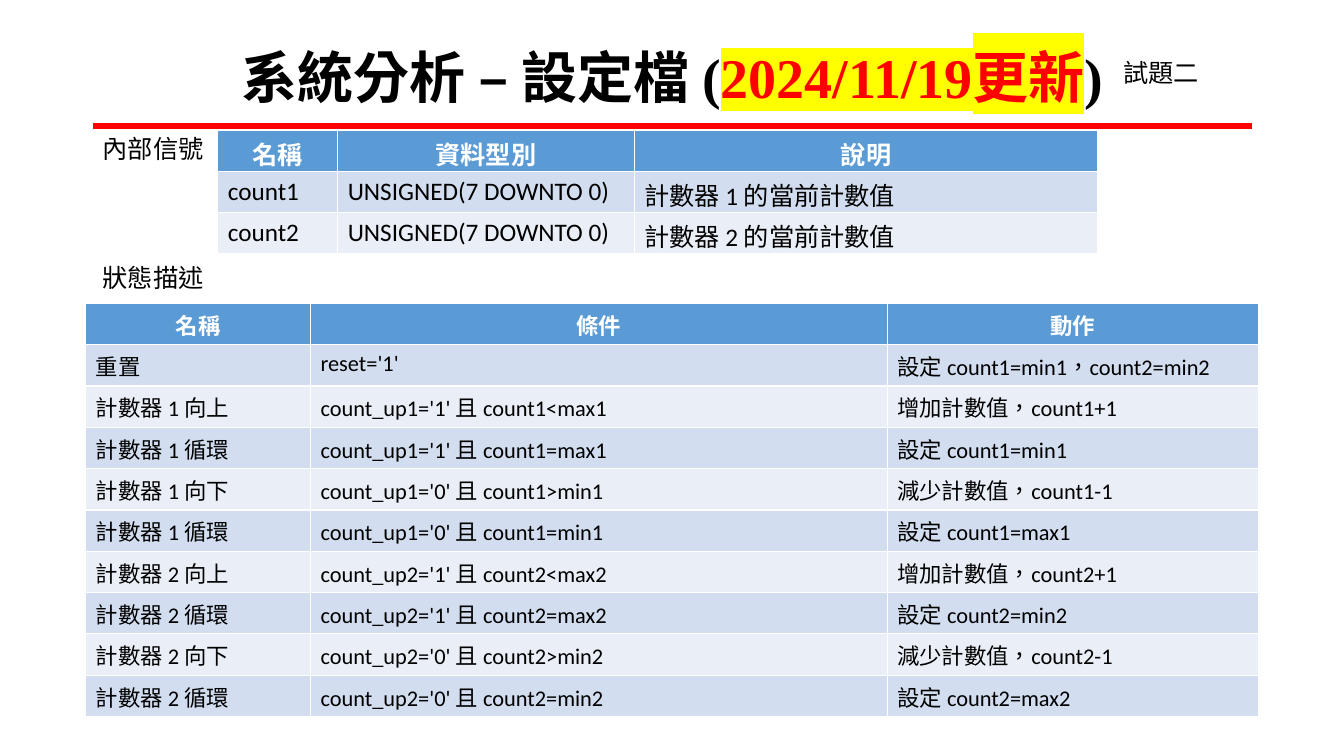
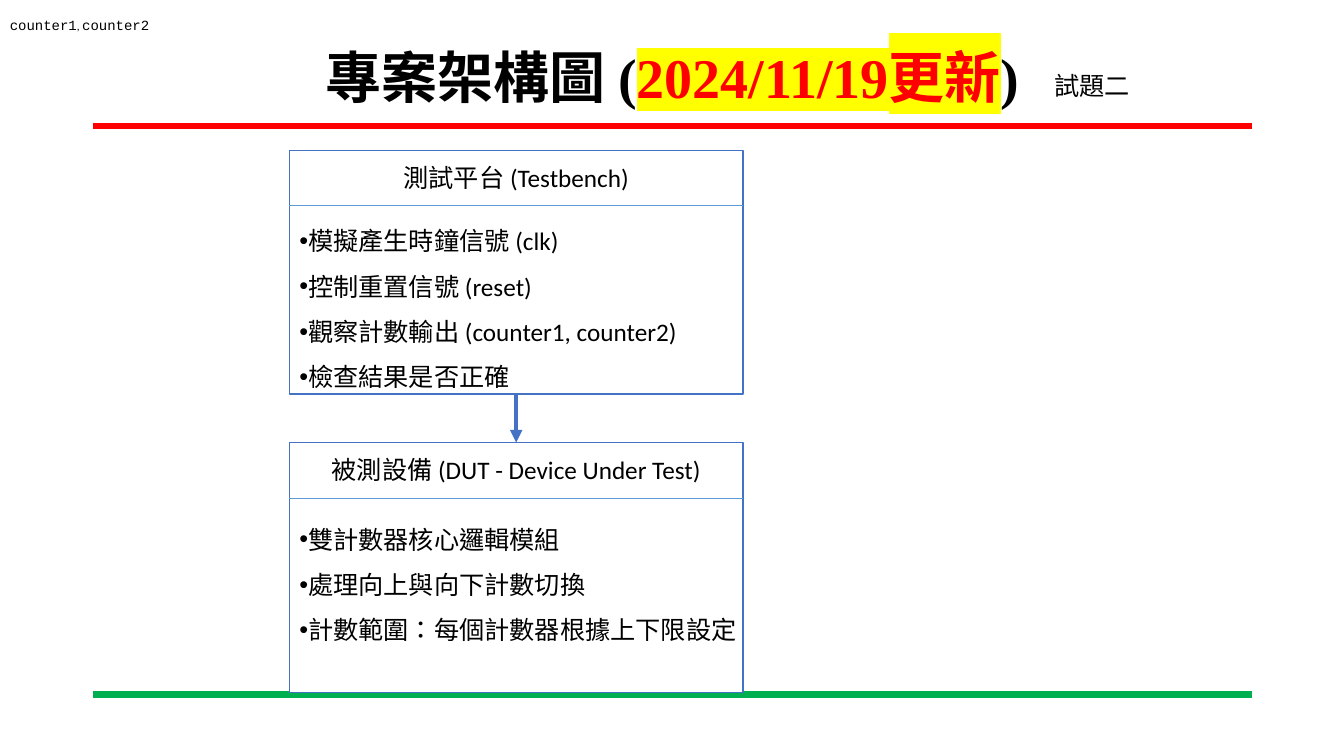
from lxml.etree import SubElement
from pptx import Presentation
from pptx.dml.color import RGBColor
from pptx.enum.shapes import MSO_CONNECTOR, MSO_SHAPE
from pptx.enum.text import MSO_ANCHOR, PP_ALIGN
from pptx.oxml.ns import qn
from pptx.util import Pt

PX = 9144
BLACK = RGBColor(0x00, 0x00, 0x00)
WHITE = RGBColor(0xFF, 0xFF, 0xFF)
RED = RGBColor(0xFF, 0x00, 0x00)
GREEN = RGBColor(0x00, 0xB0, 0x50)
YELLOW = RGBColor(0xFF, 0xFF, 0x00)
HEADER = RGBColor(0x5B, 0x9B, 0xD5)
BANDS = (RGBColor(0xD2, 0xDE, 0xEF), RGBColor(0xEA, 0xEF, 0xF7))
OUTLINE = RGBColor(0x44, 0x72, 0xC4)
BODY_FONT = "Calibri"
TITLE_FONT = "Times New Roman"
CODE_FONT = "Courier New"
LEFT, RIGHT = 92, 1242
HEADING_HEIGHT = 55


def px(*lengths):
    return [round(length * PX) for length in lengths]


class Deck:
    def __init__(self):
        self.presentation = Presentation()
        self.presentation.slide_width, self.presentation.slide_height = px(1333, 750)
        self.slide = None

    def new_slide(self, subject):
        self.slide = self.presentation.slides.add_slide(self.presentation.slide_layouts[6])
        self.line(LEFT, 125, RIGHT, 125, RED, 4.5)
        self.line(LEFT, 689, RIGHT, 689, GREEN, 4.5)
        title = self.text(LEFT, 40, RIGHT - LEFT, 79, [""], anchor=MSO_ANCHOR.MIDDLE)
        heading = title.paragraphs[0]
        heading.alignment = PP_ALIGN.CENTER
        heading.line_spacing = 0.9
        for words, color, highlight in (
            (f"{subject} (", BLACK, None),
            ("2024/11/19更新", RED, YELLOW),
            (")", BLACK, None),
        ):
            self.run(heading, words, 40, color, True, TITLE_FONT, highlight)

    def style(self, run, size, color=BLACK, bold=False, font=BODY_FONT, highlight=None):
        run.font.size = Pt(size)
        run.font.bold = bold
        run.font.color.rgb = color
        properties = run._r.get_or_add_rPr()
        properties.set("lang", "zh-TW")
        if highlight is not None:
            mark = SubElement(properties, qn("a:highlight"))
            SubElement(mark, qn("a:srgbClr")).set("val", str(highlight))
        run.font.name = font

    def run(self, paragraph, words, *look):
        run = paragraph.add_run()
        run.text = words
        self.style(run, *look)

    def text(self, x, y, width, height, lines, size=18, align=None, anchor=MSO_ANCHOR.TOP):
        frame = self.slide.shapes.add_textbox(*px(x, y, width, height)).text_frame
        frame.word_wrap = True
        frame.vertical_anchor = anchor
        for index, words in enumerate(lines):
            paragraph = frame.add_paragraph() if index else frame.paragraphs[0]
            paragraph.alignment = align
            if words:
                self.run(paragraph, words, size)
        return frame

    def bullets(self, x, y, width, height, items):
        for paragraph in self.text(x, y, width, height, items).paragraphs:
            paragraph.line_spacing = 1.5
            properties = paragraph._p.get_or_add_pPr()
            indent, = px(8)
            properties.set("marL", str(indent))
            properties.set("indent", str(-indent))
            SubElement(properties, qn("a:buFont")).set("typeface", "Arial")
            SubElement(properties, qn("a:buChar")).set("char", "•")

    def line(self, x1, y1, x2, y2, color, weight):
        line = self.slide.shapes.add_connector(MSO_CONNECTOR.STRAIGHT, *px(x1, y1, x2, y2))
        line.line.color.rgb = color
        line.line.width = Pt(weight)
        SubElement(line._element.spPr, qn("a:effectLst"))
        return line

    def arrow(self, upper, lower):
        arrow = self.line(0, 0, 0, 0, OUTLINE, 3)
        arrow.begin_connect(upper, 2)
        arrow.end_connect(lower, 0)
        SubElement(arrow.line._get_or_add_ln(), qn("a:tailEnd")).set("type", "triangle")

    def module(self, x, y, width, height, heading, items, body_top, body_width):
        box = self.slide.shapes.add_shape(MSO_SHAPE.RECTANGLE, *px(x, y, width, height))
        box.shadow.inherit = False
        box.fill.solid()
        box.fill.fore_color.rgb = WHITE
        box.line.color.rgb = OUTLINE
        box.line.width = Pt(1)
        divider = y + HEADING_HEIGHT
        self.line(x, divider, x + width, divider, HEADER, 0.5)
        self.text(x, y + 7, width, 40, [heading], align=PP_ALIGN.CENTER)
        self.bullets(x, body_top, body_width, y + height - body_top, items)
        return box

    def table(self, x, y, widths, row_height, rows, size):
        table = self.slide.shapes.add_table(
            len(rows), len(widths), *px(x, y, sum(widths), row_height * len(rows))
        ).table
        for column, width in zip(table.columns, px(*widths)):
            column.width = width
        for r, row in enumerate(rows):
            for c, words in enumerate(row):
                cell = table.cell(r, c)
                cell.fill.solid()
                cell.fill.fore_color.rgb = BANDS[(r - 1) % 2] if r else HEADER
                paragraph = cell.text_frame.paragraphs[0]
                paragraph.text = words
                paragraph.alignment = PP_ALIGN.LEFT if r else PP_ALIGN.CENTER
                self.style(paragraph.runs[0], size, BLACK if r else WHITE, not r)


def settings_slide(deck):
    deck.new_slide("系統分析 – 設定檔")
    signals = [("名稱", "資料型別", "說明")]
    states = [
        ("名稱", "條件", "動作"),
        ("重置", "reset='1'", "設定 count1=min1，count2=min2"),
    ]
    for n in (1, 2):
        signals.append((f"count{n}", "UNSIGNED(7 DOWNTO 0)", f"計數器 {n} 的當前計數值"))
        for up, move, inside, limit, change, wrapped, sign in (
            (1, "向上", "<", "max", "增加", "min", "+"),
            (0, "向下", ">", "min", "減少", "max", "-"),
        ):
            condition = f"count_up{n}='{up}' 且 count{n}"
            states += [
                (f"計數器 {n} {move}", f"{condition}{inside}{limit}{n}",
                 f"{change}計數值，count{n}{sign}1"),
                (f"計數器 {n} 循環", f"{condition}={limit}{n}",
                 f"設定 count{n}={wrapped}{n}"),
            ]
    deck.table(216, 129, (119, 294, 460), 41, signals, 18)
    deck.table(85, 301, (223, 572, 368), 41, states, 16)
    deck.text(LEFT, 255, 124, 40, ["狀態描述"])
    deck.text(LEFT, 127, 124, 40, ["內部信號"])
    deck.text(1104, 52, 185, 40, ["試題二"])


def architecture_slide(deck):
    deck.new_slide("專案架構圖")
    testbench = deck.module(
        287, 149, 450, 242, "測試平台 (Testbench)",
        ["模擬產生時鐘信號 (clk)", "控制重置信號 (reset)",
         "觀察計數輸出 (counter1, counter2)", "檢查結果是否正確"],
        204, 450,
    )
    device = deck.module(
        287, 439, 450, 248, "被測設備 (DUT - Device Under Test)",
        ["雙計數器核心邏輯模組", "處理向上與向下計數切換",
         "計數範圍：每個計數器根據上下限設定"],
        500, 461,
    )
    deck.arrow(testbench, device)
    deck.text(1036, 65, 185, 40, ["試題二"])
    outputs = deck.text(0, 0, 1333, 50, [""], anchor=MSO_ANCHOR.MIDDLE).paragraphs[0]
    for words, size, font in (
        ("counter1", 10, CODE_FONT), (", ", 8, BODY_FONT), ("counter2", 10, CODE_FONT)
    ):
        deck.run(outputs, words, size, BLACK, False, font)


def main():
    deck = Deck()
    settings_slide(deck)
    architecture_slide(deck)
    deck.presentation.save("out.pptx")


if __name__ == "__main__":
    main()
